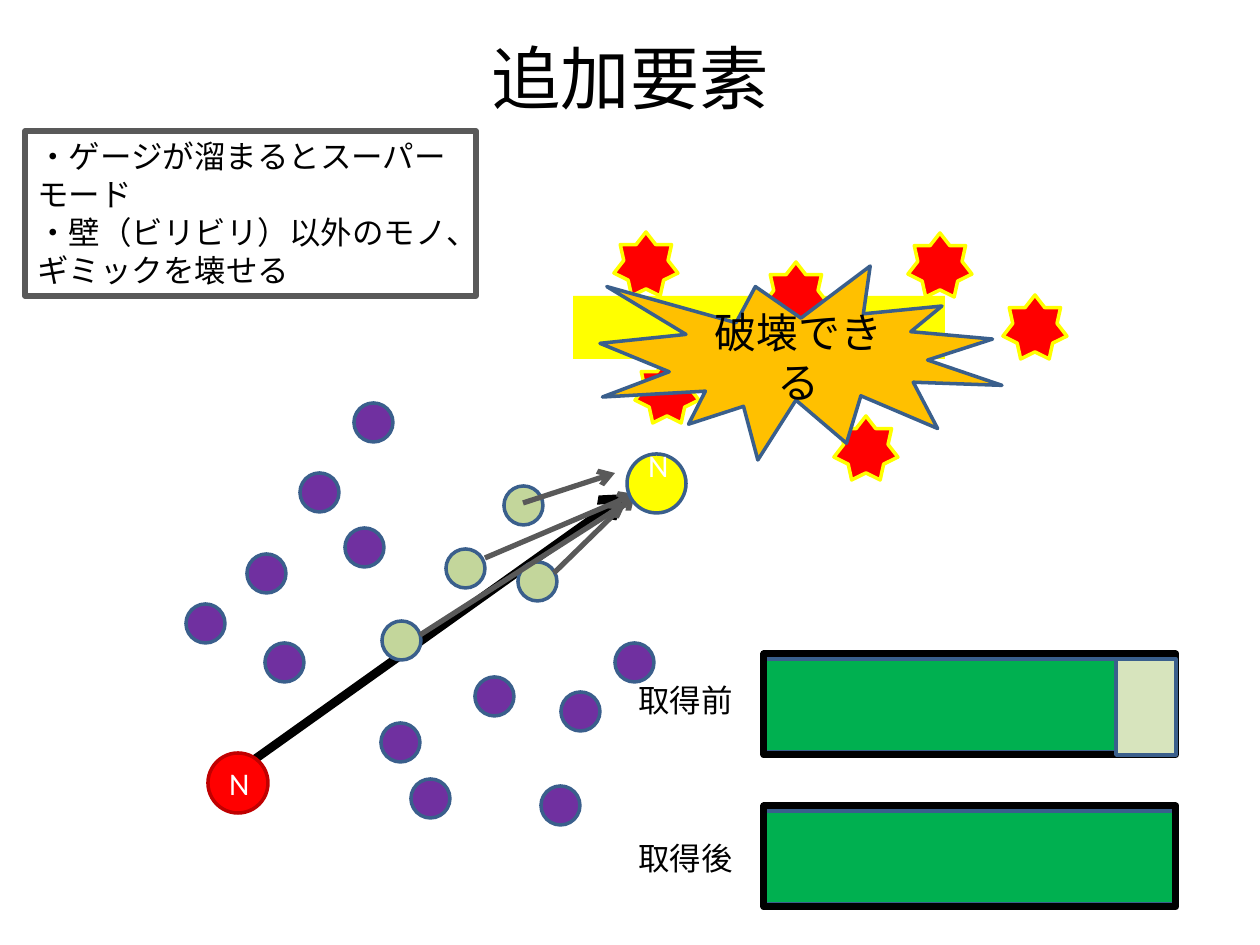
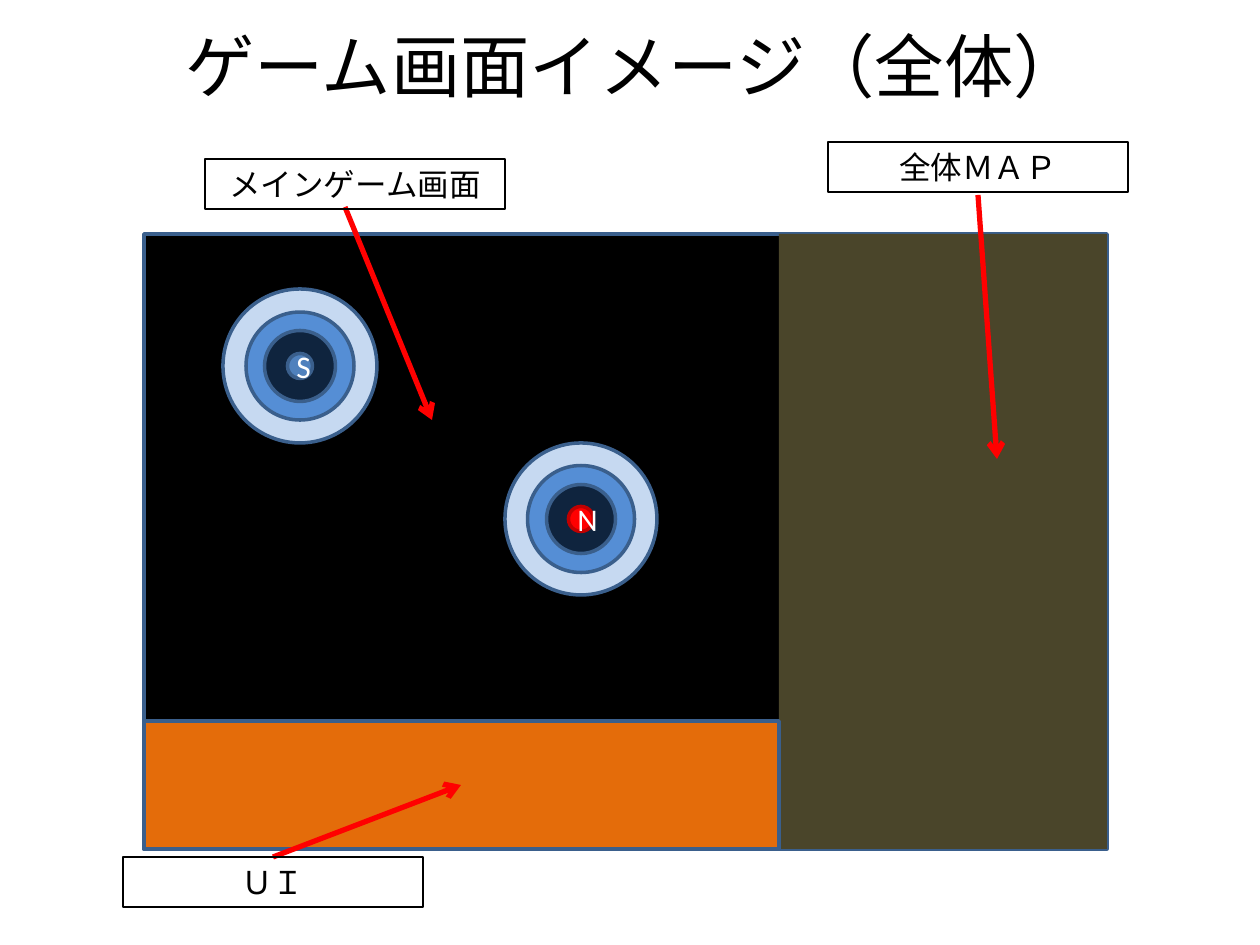
import pptx
import pptx.util
import pptx.dml.color
import pptx.enum.shapes
import pptx.enum.text
import pptx.oxml
import pptx.oxml.ns

# ---- Shared look ----
SCALE = 914400 / 126  # EMU per pixel
FONT = "Calibri"
COLOURS = {
    "black": "000000", "white": "FFFFFF", "grey": "595959", "outline": "3A5F8C",
    "purple": "7030A0", "pale green": "C3D69B", "green": "00B050", "mint": "D7E4BD",
    "red": "FF0000", "dark red": "C00000", "yellow": "FFFF00", "amber": "FFC000",
    "sky": "C6D9F1", "blue": "558ED5", "navy": "0F243E", "steel": "4F81BD",
    "olive": "4A452A", "orange": "E46C0A",
}
KINDS = pptx.enum.shapes.MSO_SHAPE
ALIGN = pptx.enum.text.PP_ALIGN
ANCHOR = pptx.enum.text.MSO_ANCHOR
RECT, OVAL = KINDS.RECTANGLE, KINDS.OVAL
TITLE_SIZE, TITLE_WIDTH, TITLE_HEIGHT = 39.6, 1134, 77

# ---- Content: added elements ----
ADDED_TITLE = ("追加要素", 63, 38)
NOTES = ["・ゲージが溜まるとスーパーモード", "・壁（ビリビリ）以外のモノ、ギミックを壊せる"]
DOT_SIZE = 39
DOTS = {
    "purple": [(345, 528), (247, 554), (265, 643), (615, 643), (381, 723), (411, 779),
               (541, 786), (561, 692), (354, 403), (300, 473), (186, 604), (475, 677)],
    "pale green": [(518, 562), (504, 486), (446, 549), (382, 621)],
}
PATH_OF_MAGNET = (251, 762, 627, 494)
PULLS = [(523, 503, 615, 473), (485, 558, 635, 494),
         (554, 573, 635, 494), (420, 635, 626, 503)]
GAUGE_LEFT, GAUGE_WIDTH, GAUGE_HEIGHT, BAR_DROP = 764, 412, 101, 5
GAUGES = [  # label, label top, frame top, filled width
    ("取得前", 675, 654, 352),
    ("取得後", 833, 806, 412),
]
STAR_SIZE = 64
STARS = [(635, 359), (908, 233), (614, 232), (834, 416), (1003, 295), (764, 262)]
BLAST_TEXT = "破壊できる"

# ---- Content: game screen ----
SCREEN_TITLE = ("ゲーム画面イメージ（全体）", 67, 26)
SCREEN = (144, 234, 963, 615)
MAP_LEFT, UI_TOP = 779, 721
RING_COLOURS = ["sky", "blue", "navy"]
MAGNETS = [  # letter, centre, ring sizes, core fill, core line
    ("S", (300, 366), (154, 108, 71), "steel", "outline"),
    ("N", (581, 519), (152, 107, 69), "red", "dark red"),
]
CORE_SIZE = 25
LABEL_SIZE = (300, 50)
CALLOUTS = [  # text, label corner, arrow
    ("メインゲーム画面", (205, 159), (345, 207, 432, 420)),
    ("ＵＩ", (123, 857), (273, 857, 461, 785)),
    ("全体ＭＡＰ", (828, 142), (978, 195, 997, 459)),
]


# ---- Helpers ----
def px(*lengths):
    return [pptx.util.Emu(round(length * SCALE)) for length in lengths]


def colour(name):
    return pptx.dml.color.RGBColor.from_string(COLOURS[name])


def write(shape, lines, size=18, ink="black", align=ALIGN.CENTER, **frame_format):
    frame = shape.text_frame
    for name, value in {"word_wrap": True, **frame_format}.items():
        setattr(frame, name, value)
    for number, line in enumerate(lines):
        para = frame.add_paragraph() if number else frame.paragraphs[0]
        para.alignment = align
        span = para.add_run()
        span.text = line
        for name, value in {"name": FONT, "size": pptx.util.Pt(size)}.items():
            setattr(span.font, name, value)
        span.font.color.rgb = colour(ink)


def add_shape(page, kind, place, fill=None, line="outline", weight=2):
    shape = page.shapes.add_shape(kind, *px(*place))
    shape.shadow.inherit = False
    if fill:
        shape.fill.solid()
        shape.fill.fore_color.rgb = colour(fill)
    else:
        shape.fill.background()
    if line:
        shape.line.color.rgb = colour(line)
        shape.line.width = pptx.util.Pt(weight)
    else:
        shape.line.fill.background()
    return shape


def add_arrow(page, ends, ink, weight=3):
    arrow = page.shapes.add_connector(pptx.enum.shapes.MSO_CONNECTOR.STRAIGHT, *px(*ends))
    arrow.line.color.rgb = colour(ink)
    arrow.line.width = pptx.util.Pt(weight)
    head = pptx.oxml.parse_xml(
        '<a:tailEnd %s type="arrow"/>' % pptx.oxml.ns.nsdecls("a"))
    arrow.line._get_or_add_ln().append(head)
    effects = pptx.oxml.parse_xml("<a:effectLst %s/>" % pptx.oxml.ns.nsdecls("a"))
    arrow._element.spPr.append(effects)


def add_page(deck, title, left, top):
    page = deck.slides.add_slide(deck.slide_layouts[5])
    box = page.shapes.title
    box.left, box.top, box.width, box.height = px(left, top, TITLE_WIDTH, TITLE_HEIGHT)
    write(box, [title], TITLE_SIZE, vertical_anchor=ANCHOR.MIDDLE)
    return page


def add_gauge(page, label, label_top, top, filled):
    bar_top = top + BAR_DROP
    add_shape(page, RECT, (GAUGE_LEFT, bar_top, filled, 93), "green")
    add_shape(page, RECT, (GAUGE_LEFT, top, GAUGE_WIDTH, GAUGE_HEIGHT), None, "black", 4)
    if filled < GAUGE_WIDTH:
        rest = (GAUGE_LEFT + filled, bar_top, GAUGE_WIDTH - filled, GAUGE_HEIGHT - BAR_DROP)
        add_shape(page, RECT, rest, "mint")
    write(page.shapes.add_textbox(*px(611, label_top, 149, 50)), [label])


def add_disc(page, centre, size, fill, line="outline"):
    x, y = centre
    return add_shape(page, OVAL, (x - size / 2, y - size / 2, size, size), fill, line)


def build_added_elements(deck):
    page = add_page(deck, *ADDED_TITLE)
    add_arrow(page, PATH_OF_MAGNET, "black", 5)
    for fill, corners in DOTS.items():
        for corner in corners:
            add_shape(page, OVAL, (*corner, DOT_SIZE, DOT_SIZE), fill)

    note = add_shape(page, RECT, (25, 131, 451, 165), None, "grey", 3)
    write(note, NOTES, align=ALIGN.LEFT, vertical_anchor=ANCHOR.TOP)
    for ends in PULLS:
        add_arrow(page, ends, "grey")
    for gauge in GAUGES:
        add_gauge(page, *gauge)

    # Magnet before and after its move; the second letter sits high
    start = add_shape(page, OVAL, (208, 753, 60, 60), "red", "dark red")
    write(start, ["N"], ink="white", vertical_anchor=ANCHOR.MIDDLE)
    goal = add_shape(page, OVAL, (627, 454, 59, 59), "yellow")
    write(goal, ["N"], ink="white", vertical_anchor=ANCHOR.BOTTOM,
          margin_top=0, margin_bottom=px(21)[0])

    # Obstacles and blast
    add_shape(page, RECT, (573, 296, 372, 63), "yellow", None)
    for corner in STARS:
        add_shape(page, KINDS.STAR_7_POINT, (*corner, STAR_SIZE, STAR_SIZE), "red", "yellow")
    blast = add_shape(page, KINDS.EXPLOSION1, (600, 266, 402, 194), "amber")
    write(blast, [BLAST_TEXT], 24, vertical_anchor=ANCHOR.MIDDLE)


def build_game_screen(deck):
    page = add_page(deck, *SCREEN_TITLE)
    left, top, width, height = SCREEN
    add_shape(page, RECT, SCREEN, "black")
    for letter, centre, sizes, fill, line in MAGNETS:
        for size, ring in zip(sizes, RING_COLOURS):
            add_disc(page, centre, size, ring)
        core = add_disc(page, centre, CORE_SIZE, fill, line)
        write(core, [letter], ink="white", vertical_anchor=ANCHOR.MIDDLE)

    # Map and UI areas
    add_shape(page, RECT, (MAP_LEFT, top, left + width - MAP_LEFT, height), "olive", None)
    add_shape(page, RECT, (left, UI_TOP, MAP_LEFT - left, top + height - UI_TOP), "orange")

    for text, corner, ends in CALLOUTS:
        add_arrow(page, ends, "red")
        label = add_shape(page, RECT, (*corner, *LABEL_SIZE), None, "black", 0.75)
        write(label, [text], vertical_anchor=ANCHOR.TOP)


deck = pptx.Presentation()
deck.slide_width, deck.slide_height = px(1260, 945)
build_added_elements(deck)
build_game_screen(deck)
deck.save("out.pptx")
